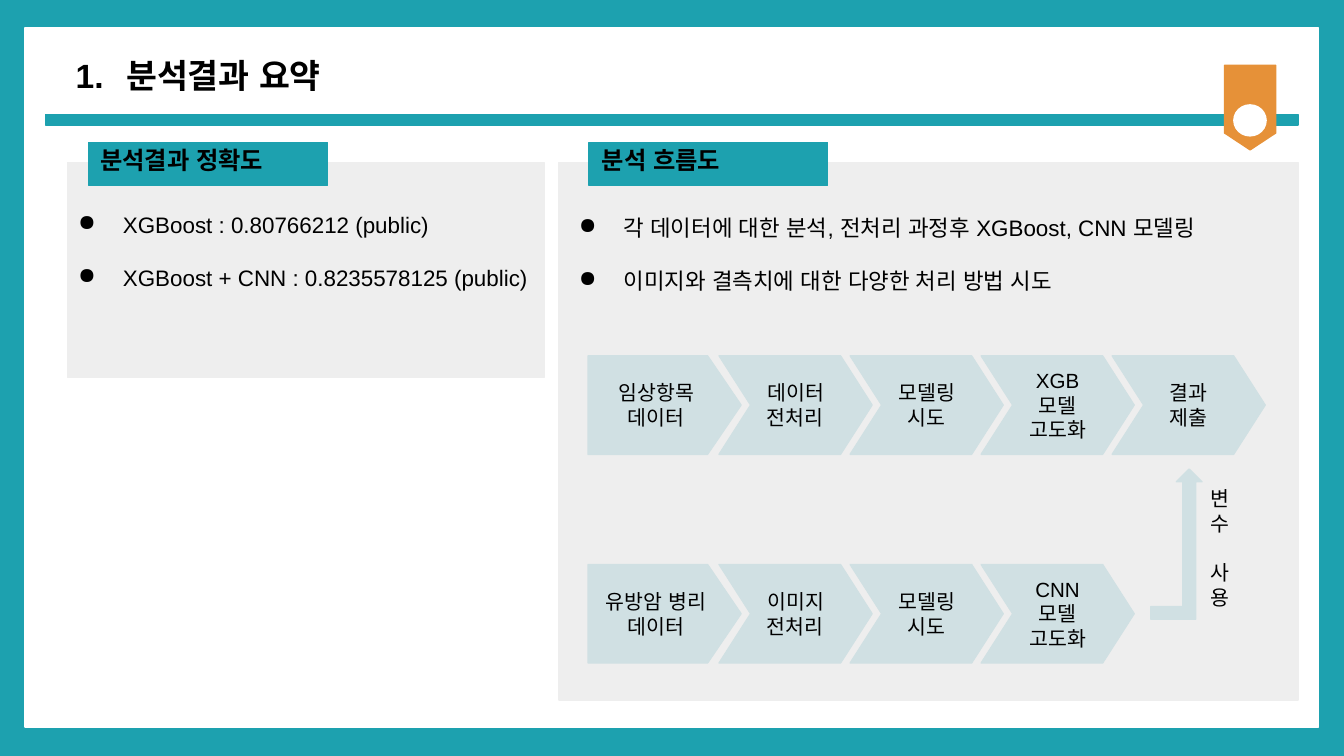
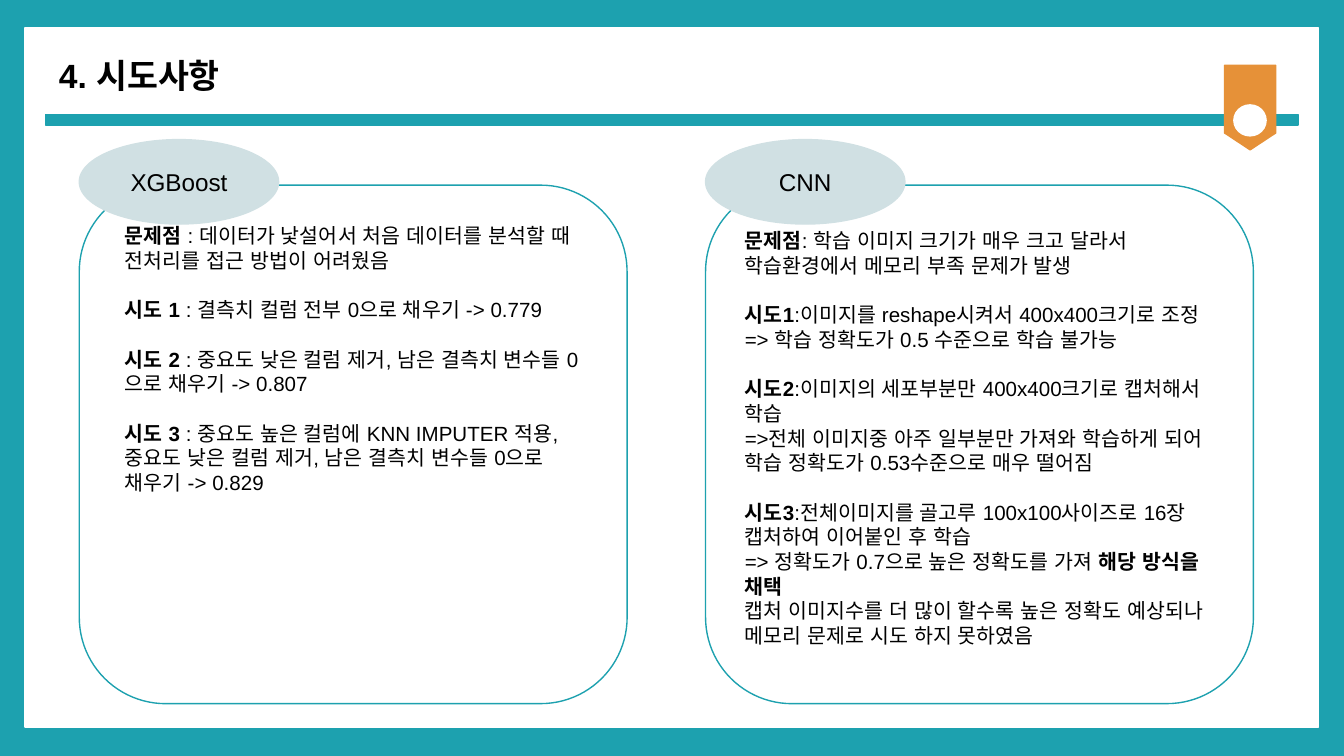
from lxml import etree
from pptx import Presentation
from pptx.dml.color import RGBColor
from pptx.enum.shapes import MSO_SHAPE
from pptx.enum.text import MSO_ANCHOR, MSO_AUTO_SIZE, PP_ALIGN
from pptx.oxml.ns import qn
from pptx.util import Pt

TEAL = RGBColor(0x1D, 0xA1, 0xAF)
ORANGE = RGBColor(0xE6, 0x91, 0x38)
PALE = RGBColor(0xD0, 0xE0, 0xE3)
GREY = RGBColor(0xEE, 0xEE, 0xEE)
WHITE = RGBColor(0xFF, 0xFF, 0xFF)
BLACK = RGBColor(0x00, 0x00, 0x00)

RECT = MSO_SHAPE.RECTANGLE
ROUND = MSO_SHAPE.ROUNDED_RECTANGLE
OVAL = MSO_SHAPE.OVAL
BADGE = MSO_SHAPE.FLOWCHART_OFFPAGE_CONNECTOR
PENTAGON = MSO_SHAPE.PENTAGON
CHEVRON = MSO_SHAPE.CHEVRON
UP_ARROW = MSO_SHAPE.BENT_UP_ARROW
MIDDLE, TOP = MSO_ANCHOR.MIDDLE, MSO_ANCHOR.TOP
LEFT, CENTER = PP_ALIGN.LEFT, PP_ALIGN.CENTER
GROW = MSO_AUTO_SIZE.SHAPE_TO_FIT_TEXT

FONT = "Arial"
INSET = 7.2
NUMBER = ("buAutoNum", "type", "arabicPeriod")
DOT = ("buChar", "char", "●")


def add_bullet(p, bullet, hang):
    """Give a paragraph a black bullet or number with a hanging indent."""
    pPr = p._p.get_or_add_pPr()
    pPr.set("marL", str(Pt(36)))
    pPr.set("indent", str(-Pt(hang)))
    colour = etree.SubElement(pPr, qn("a:buClr"))
    etree.SubElement(colour, qn("a:srgbClr")).set("val", str(BLACK))
    tag, key, value = bullet
    etree.SubElement(pPr, qn("a:" + tag)).set(key, value)


def add_run(p, text, size, bold):
    """Add one run in the deck font for Latin and Korean script."""
    r = p.add_run()
    r.text = text
    r.font.size = Pt(size)
    r.font.bold = bold
    r.font.color.rgb = BLACK
    r.font.name = FONT
    for tag in ("a:ea", "a:cs"):
        etree.SubElement(r._r.get_or_add_rPr(), qn(tag)).set("typeface", FONT)


def write(sp, blocks, size=11, bold=False, align=LEFT, anchor=TOP,
          gap=0, bullet=None, hang=24):
    """Write blocks of lines set apart by gap; text between asterisks is bold."""
    tf = sp.text_frame
    tf.word_wrap = True
    tf.vertical_anchor = anchor
    tf.margin_left = tf.margin_right = Pt(INSET)
    tf.margin_top = tf.margin_bottom = Pt(INSET)
    p = None
    for block in blocks:
        for i, line in enumerate(block.split("\n")):
            first = p is None
            p = tf.paragraphs[0] if first else tf.add_paragraph()
            p.alignment = align
            p.space_before = Pt(gap if i == 0 and not first else 0)
            if bullet:
                add_bullet(p, bullet, hang)
            for n, part in enumerate(line.split("*")):
                if part:
                    add_run(p, part, size, bold or n % 2 == 1)


class Deck:
    """Hold the shared style and the current slide."""

    def __init__(self, prs):
        """Set the slide size."""
        self.prs = prs
        self.s = None
        prs.slide_width, prs.slide_height = Pt(720), Pt(405)

    def slide(self, title, bullet=None):
        """Start a slide with frame, rule, badge and title."""
        self.s = self.prs.slides.add_slide(self.prs.slide_layouts[6])
        fill = self.s.background.fill
        fill.solid()
        fill.fore_color.rgb = TEAL
        self.shape(RECT, 13.5, 15, 693, 374.5, WHITE)
        self.shape(RECT, 24.5, 61.4, 671, 5.6, TEAL)
        self.shape(BADGE, 656, 35, 27.5, 45.3, ORANGE)
        self.shape(OVAL, 661, 56.2, 17.3, 16.6, WHITE)
        self.text([title], 24.5, 22.3, 455.8, 36, size=18, bold=True,
                  bullet=bullet, hang=27)

    def shape(self, kind, x, y, w, h, fill=None, line=None, adjust=None):
        """Add a flat preset shape, outlined in its fill colour by default."""
        sp = self.s.shapes.add_shape(kind, Pt(x), Pt(y), Pt(w), Pt(h))
        sp.shadow.inherit = False
        if fill is None:
            sp.fill.background()
        else:
            sp.fill.solid()
            sp.fill.fore_color.rgb = fill
        sp.line.color.rgb = line or fill
        sp.line.width = Pt(0.75)
        if adjust is not None:
            sp.adjustments[0] = adjust
        return sp

    def text(self, blocks, x, y, w, h, **fmt):
        """Add a text box that grows with its text."""
        sp = self.s.shapes.add_textbox(Pt(x), Pt(y), Pt(w), Pt(h))
        write(sp, blocks, **fmt)
        sp.text_frame.auto_size = GROW

    def label(self, text, x, text_x):
        """Add a teal section label."""
        self.shape(RECT, x, 76.3, 128, 23, TEAL)
        self.text([text], text_x, 70.6, 117.4, 30.2, size=13, bold=True)

    def flow(self, steps, y):
        """Add a row of process steps, the first with a flat back."""
        for i, step in enumerate(steps):
            kind, adjust = (CHEVRON, 0.32) if i else (PENTAGON, 0.34)
            sp = self.shape(kind, 315 + 70.2 * i, y, 82, 52.8, PALE, adjust=adjust)
            write(sp, [step], align=CENTER, anchor=MIDDLE)

    def topic(self, name, x):
        """Add a rounded outline headed by an oval."""
        self.shape(ROUND, x, 99.2, 293.5, 277.8, line=TEAL)
        sp = self.shape(OVAL, x, 74.8, 106.8, 45.2, PALE)
        write(sp, [name], size=13, align=CENTER, anchor=MIDDLE)


def summary(deck):
    """Build the results summary slide."""
    deck.slide("분석결과 요약", bullet=NUMBER)
    deck.shape(RECT, 36, 87, 255.5, 115.2, GREY)
    deck.shape(RECT, 299.5, 87, 396, 288, GREY)
    deck.label("분석결과 정확도", 47.5, 46.8)
    deck.label("분석 흐름도", 315.5, 315.4)
    deck.text(["각 데이터에 대한 분석, 전처리 과정후 XGBoost, CNN 모델링",
               "이미지와 결측치에 대한 다양한 처리 방법 시도"],
              291, 107.3, 374.4, 58.3, size=12, gap=14, bullet=DOT)
    deck.text(["XGBoost : 0.80766212 (public)",
               "XGBoost + CNN : 0.8235578125 (public)"],
              22.8, 105.8, 270.7, 72.7, size=12, gap=14, bullet=DOT)
    deck.flow(["임상항목\n데이터", "데이터전처리", "모델링시도",
               "XGB\n모델 고도화", "결과 제출"], 190.6)
    deck.flow(["유방암 병리\n데이터", "이미지 전처리", "모델링시도",
               "CNN\n모델 고도화"], 302.4)
    deck.shape(UP_ARROW, 616.5, 251.3, 27.4, 80.5, PALE)
    deck.text(["변수 사용"], 641.5, 253.4, 17.3, 67.7)


def attempts(deck):
    """Build the slide on what was tried."""
    deck.slide("4. 시도사항")
    deck.topic("XGBoost", 42.5)
    deck.topic("CNN", 378)
    deck.text([
        "*문제점 *: 데이터가 낯설어서 처음 데이터를 분석할 때 전처리를 접근 방법이 어려웠음",
        "*시도 1* : 결측치 컬럼 전부 0으로 채우기 -> 0.779",
        "*시도 2* : 중요도 낮은 컬럼 제거, 남은 결측치 변수들 0으로 채우기 -> 0.807",
        "*시도 3* : 중요도 높은 컬럼에 KNN IMPUTER 적용, 중요도 낮은 컬럼 제거, "
        "남은 결측치 변수들 0으로 채우기 -> 0.829",
    ], 59.8, 112.5, 265.7, 161.3, gap=13.2)
    deck.text([
        "*문제점*: 학습 이미지 크기가 매우 크고 달라서 학습환경에서 메모리 부족 문제가 발생",
        "*시도1*:이미지를 reshape시켜서 400x400크기로 조정\n"
        "=> 학습 정확도가 0.5 수준으로 학습 불가능",
        "*시도2*:이미지의 세포부분만 400x400크기로 캡처해서 학습\n"
        "=>전체 이미지중 아주 일부분만 가져와 학습하게 되어 "
        "학습 정확도가 0.53수준으로 매우 떨어짐",
        "*시도3*:전체이미지를 골고루 100x100사이즈로 16장 캡처하여 이어붙인 후 학습\n"
        "=> 정확도가 0.7으로 높은 정확도를 가져 *해당 방식을 채택*\n"
        "캡처 이미지수를 더 많이 할수록 높은 정확도 예상되나 "
        "메모리 문제로 시도 하지 못하였음",
    ], 391.9, 115.2, 265.7, 254.9, gap=13.2)


def main():
    """Build and save the presentation."""
    prs = Presentation()
    deck = Deck(prs)
    summary(deck)
    attempts(deck)
    prs.save("out.pptx")


if __name__ == "__main__":
    main()
